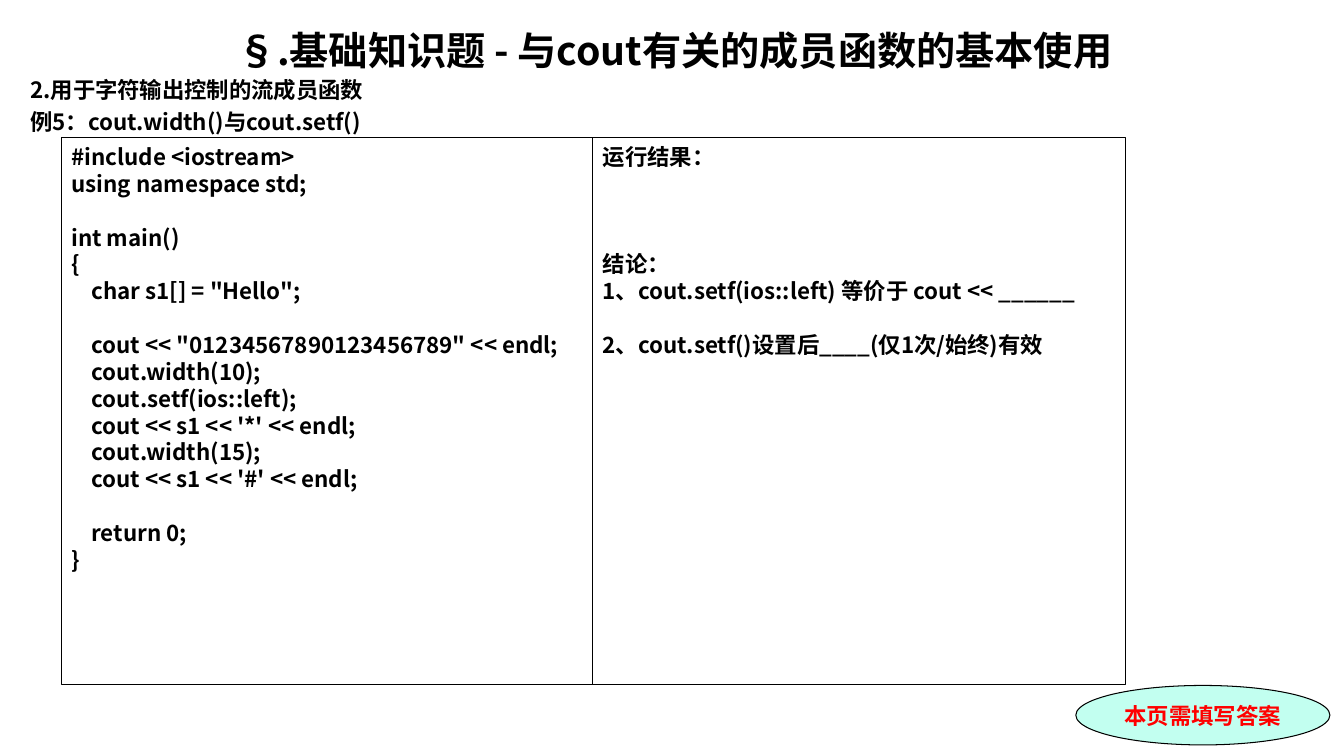
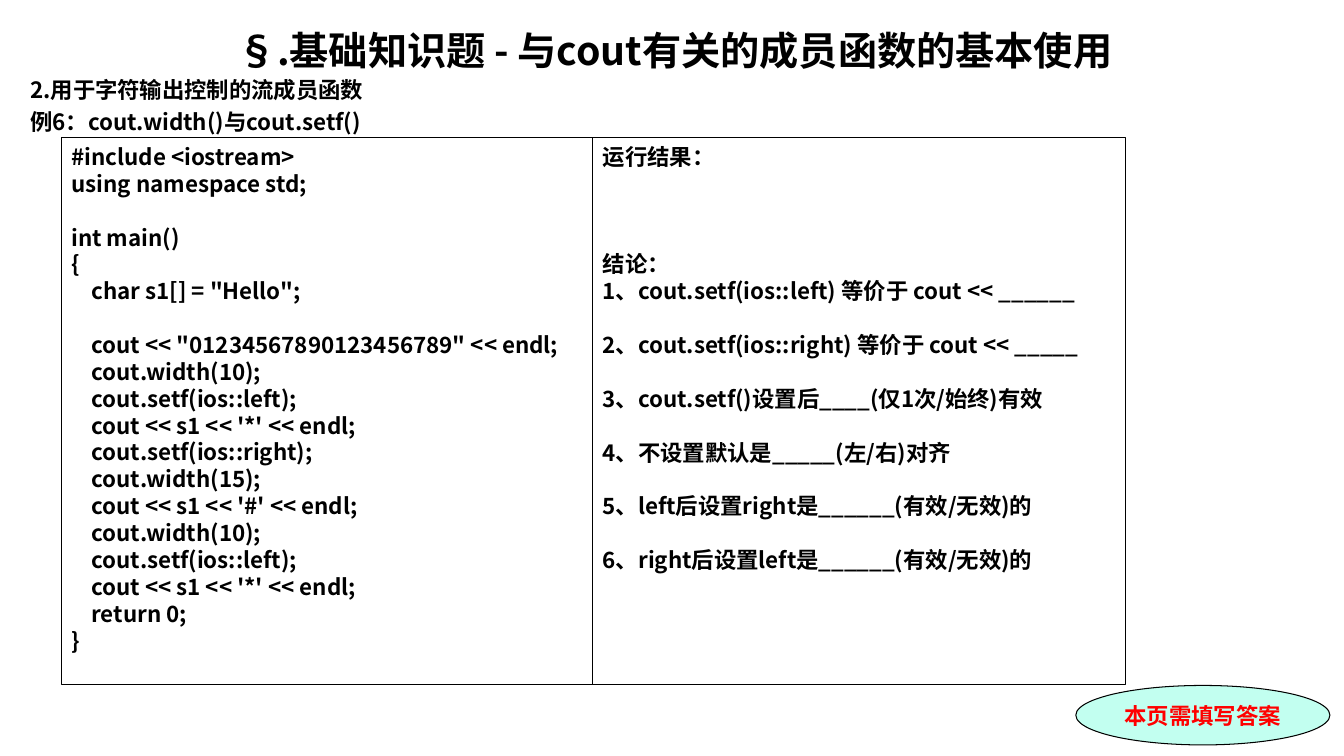
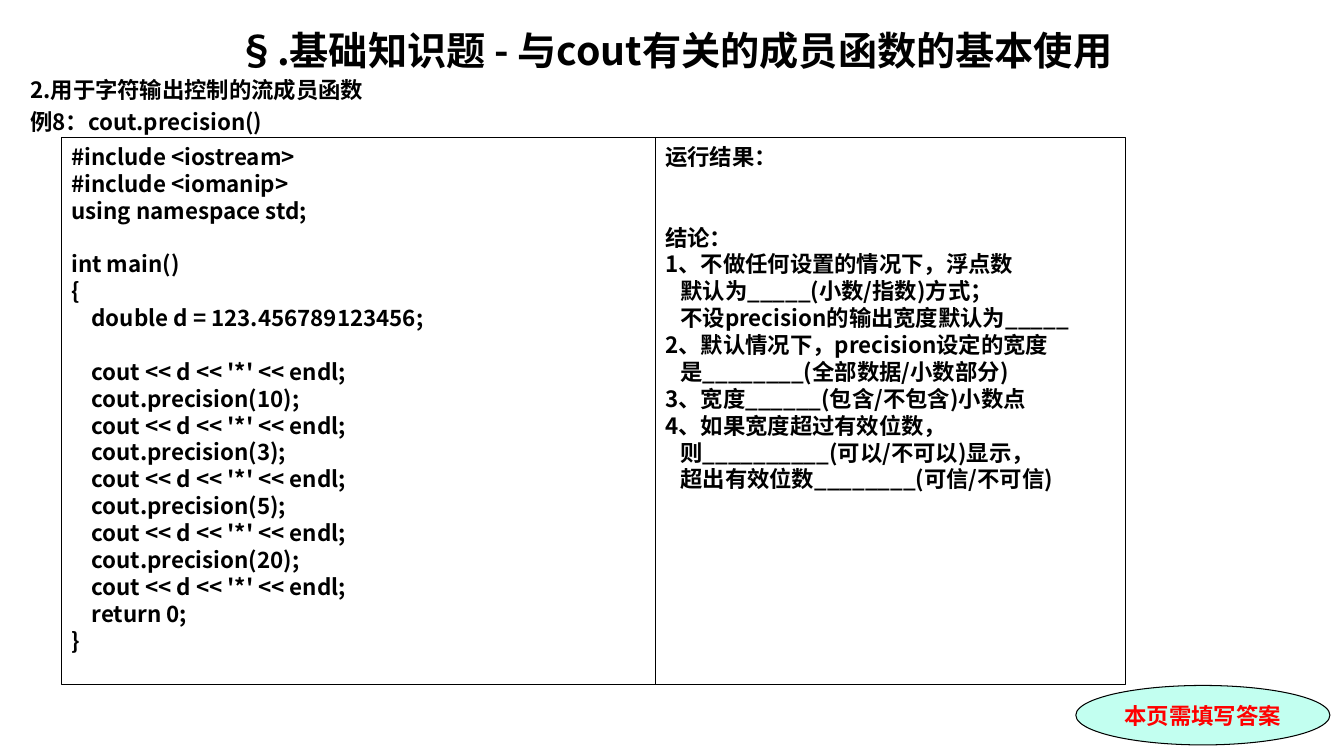
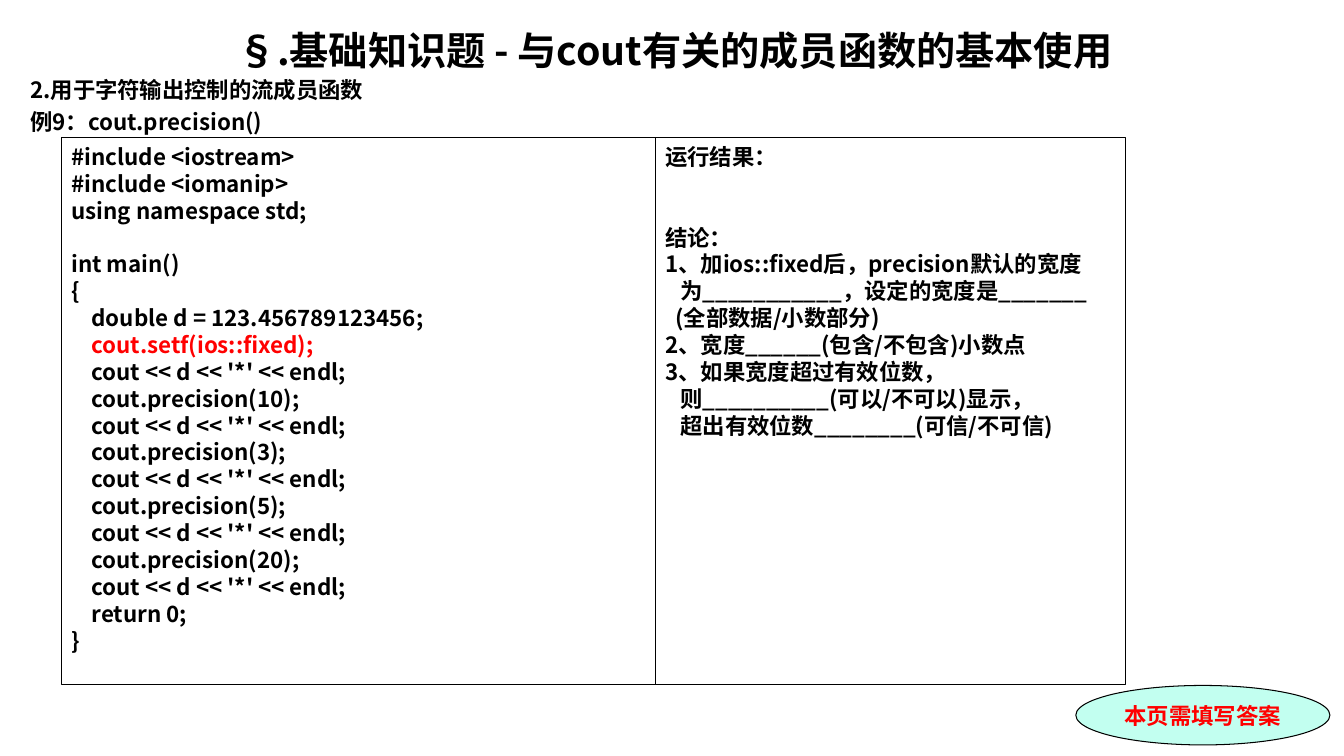
from dataclasses import dataclass
from typing import Optional

from pptx import Presentation
from pptx.dml.color import RGBColor
from pptx.enum.shapes import MSO_SHAPE
from pptx.enum.text import MSO_ANCHOR, MSO_AUTO_SIZE, PP_ALIGN
from pptx.oxml.ns import qn
from pptx.util import Emu, Pt

# Shared measures and styles
PX = 9144  # one hundredth of an inch
SLIDE_WIDTH, SLIDE_HEIGHT = 1333, 750
BLACK, RED, MINT = "000000", "FF0000", "C2FFF0"
FONT, BADGE_FONT = "Noto Sans CJK SC", "Times New Roman"
TITLE_SIZE, TEXT_SIZE = 28, 16
LINE_HEIGHT = 1.2
SPACE_WIDTH = 5
PANEL_LEFT, PANEL_TOP, PANEL_HEIGHT, PANELS_WIDTH = 61, 136, 543, 1055

TITLE = "§.基础知识题 - 与cout有关的成员函数的基本使用"
SECTION = "2.用于字符输出控制的流成员函数"
BADGE = "本页需填写答案"


@dataclass
class Box:
    left: int
    top: int
    width: int
    height: int


@dataclass
class Line:
    text: str
    indent: int = 0
    blank_above: int = 0


@dataclass
class Example:
    heading: str
    code_width: int
    code: str
    answers: str
    highlight: Optional[str] = None


TITLE_BOX = Box(20, 18, 1299, 52)
HEADING_BOX = Box(20, 70, 1299, 66)
BADGE_BOX = Box(1067, 680, 252, 59)

# Contents
HELLO_START = """#include <iostream>
using namespace std;

int main()
{
    char s1[] = "Hello";

    cout << "01234567890123456789" << endl;
    cout.width(10);
    cout.setf(ios::left);
    cout << s1 << '*' << endl;
"""
PRECISION_START = """#include <iostream>
#include <iomanip>
using namespace std;

int main()
{
    double d = 123.456789123456;
"""
PRECISION_END = """
    cout << d << '*' << endl;
    cout.precision(10);
    cout << d << '*' << endl;
    cout.precision(3);
    cout << d << '*' << endl;
    cout.precision(5);
    cout << d << '*' << endl;
    cout.precision(20);
    cout << d << '*' << endl;
    return 0;
}"""
SETF_ANSWERS = """运行结果：



结论：
1、cout.setf(ios::left) 等价于 cout << ______

"""
PRECISION_ANSWERS = """运行结果：


结论：
"""
OVERFLOW_ANSWERS = """、宽度______(包含/不包含)小数点
{}、如果宽度超过有效位数，
   则__________(可以/不可以)显示，
   超出有效位数________(可信/不可信)"""
FIXED = "cout.setf(ios::fixed);"

EXAMPLES = [
    Example("例5：cout.width()与cout.setf()", 527, HELLO_START + """    cout.width(15);
    cout << s1 << '#' << endl;

    return 0;
}""", SETF_ANSWERS + "2、cout.setf()设置后____(仅1次/始终)有效"),
    Example("例6：cout.width()与cout.setf()", 527, HELLO_START + """    cout.setf(ios::right);
    cout.width(15);
    cout << s1 << '#' << endl;
    cout.width(10);
    cout.setf(ios::left);
    cout << s1 << '*' << endl;
    return 0;
}""", SETF_ANSWERS + """2、cout.setf(ios::right) 等价于 cout << _____

3、cout.setf()设置后____(仅1次/始终)有效

4、不设置默认是_____(左/右)对齐

5、left后设置right是______(有效/无效)的

6、right后设置left是______(有效/无效)的"""),
    Example("例8：cout.precision()", 589, PRECISION_START + PRECISION_END,
            PRECISION_ANSWERS + """1、不做任何设置的情况下，浮点数
   默认为_____(小数/指数)方式；
   不设precision的输出宽度默认为_____
2、默认情况下，precision设定的宽度
   是________(全部数据/小数部分)
3""" + OVERFLOW_ANSWERS.format(4)),
    Example("例9：cout.precision()", 589, PRECISION_START + "    " + FIXED + PRECISION_END,
            PRECISION_ANSWERS + """1、加ios::fixed后，precision默认的宽度
   为___________，设定的宽度是_______
  (全部数据/小数部分)
2""" + OVERFLOW_ANSWERS.format(3), FIXED),
]


def px(length: int) -> Emu:
    return Emu(length * PX)


def rgb(color: str) -> RGBColor:
    return RGBColor.from_string(color)


def read_lines(block: str) -> list[Line]:
    """Turn leading spaces into indents and empty lines into gaps."""
    lines, blank = [], 0
    for raw in block.split("\n"):
        text = raw.strip()
        if not text:
            blank += 1
            continue
        indent = (len(raw) - len(raw.lstrip())) * SPACE_WIDTH
        lines.append(Line(text, indent, blank))
        blank = 0
    return lines


def write_text(shape, lines: list[Line], *, size: int = TEXT_SIZE, color: str = BLACK,
               font: str = FONT, align=PP_ALIGN.LEFT, anchor=MSO_ANCHOR.TOP,
               top_inset: int = 6, spacing: float = 0,
               highlight: Optional[str] = None) -> None:
    frame = shape.text_frame
    frame.word_wrap = True
    frame.auto_size = MSO_AUTO_SIZE.NONE
    frame.vertical_anchor = anchor
    frame.margin_left = frame.margin_right = px(10)
    frame.margin_top, frame.margin_bottom = px(top_inset), px(5)
    for index, line in enumerate(lines):
        paragraph = frame.add_paragraph() if index else frame.paragraphs[0]
        paragraph.alignment = align
        paragraph.line_spacing = Pt(size * LINE_HEIGHT)
        gap = line.blank_above * size * LINE_HEIGHT + (spacing if index else 0)
        paragraph.space_before, paragraph.space_after = Pt(gap), Pt(0)
        properties = paragraph._p.get_or_add_pPr()
        properties.set("marL", str(px(line.indent)))
        properties.set("indent", "0")
        run = paragraph.add_run()
        run.text = line.text
        run.font.size, run.font.bold, run.font.name = Pt(size), True, font
        run.font.color.rgb = rgb(RED if line.text == highlight else color)
        east_asian = run._r.get_or_add_rPr().makeelement(qn("a:ea"), {"typeface": FONT})
        run.font._element.find(qn("a:latin")).addnext(east_asian)


def place(shape, box: Box) -> None:
    shape.left, shape.top = px(box.left), px(box.top)
    shape.width, shape.height = px(box.width), px(box.height)


def add_outlined(slide, kind, box: Box, fill: Optional[str] = None):
    shape = slide.shapes.add_shape(kind, px(box.left), px(box.top),
                                   px(box.width), px(box.height))
    shape.shadow.inherit = False
    if fill:
        shape.fill.solid()
        shape.fill.fore_color.rgb = rgb(fill)
    else:
        shape.fill.background()
    shape.line.color.rgb = rgb(BLACK)
    shape.line.width = Pt(0.75)
    return shape


def add_example(presentation, example: Example) -> None:
    slide = presentation.slides.add_slide(presentation.slide_layouts[0])

    # Title and headings
    title, headings = slide.shapes.title, slide.placeholders[1]
    place(title, TITLE_BOX)
    write_text(title, [Line(TITLE)], size=TITLE_SIZE, align=PP_ALIGN.CENTER, top_inset=8)
    place(headings, HEADING_BOX)
    write_text(headings, [Line(SECTION), Line(example.heading)], spacing=3.2)

    # Code and answer panels
    code_box = Box(PANEL_LEFT, PANEL_TOP, example.code_width, PANEL_HEIGHT)
    answer_box = Box(PANEL_LEFT + example.code_width, PANEL_TOP,
                     PANELS_WIDTH - example.code_width, PANEL_HEIGHT)
    code_panel = add_outlined(slide, MSO_SHAPE.RECTANGLE, code_box)
    write_text(code_panel, read_lines(example.code), highlight=example.highlight)

    # Badge
    badge = add_outlined(slide, MSO_SHAPE.OVAL, BADGE_BOX, MINT)
    write_text(badge, [Line(BADGE)], color=RED, font=BADGE_FONT, align=PP_ALIGN.CENTER,
               anchor=MSO_ANCHOR.MIDDLE, top_inset=5)

    answer_panel = add_outlined(slide, MSO_SHAPE.RECTANGLE, answer_box)
    write_text(answer_panel, read_lines(example.answers))


def main() -> None:
    presentation = Presentation()
    presentation.slide_width, presentation.slide_height = px(SLIDE_WIDTH), px(SLIDE_HEIGHT)
    for example in EXAMPLES:
        add_example(presentation, example)
    presentation.save("out.pptx")


if __name__ == "__main__":
    main()
